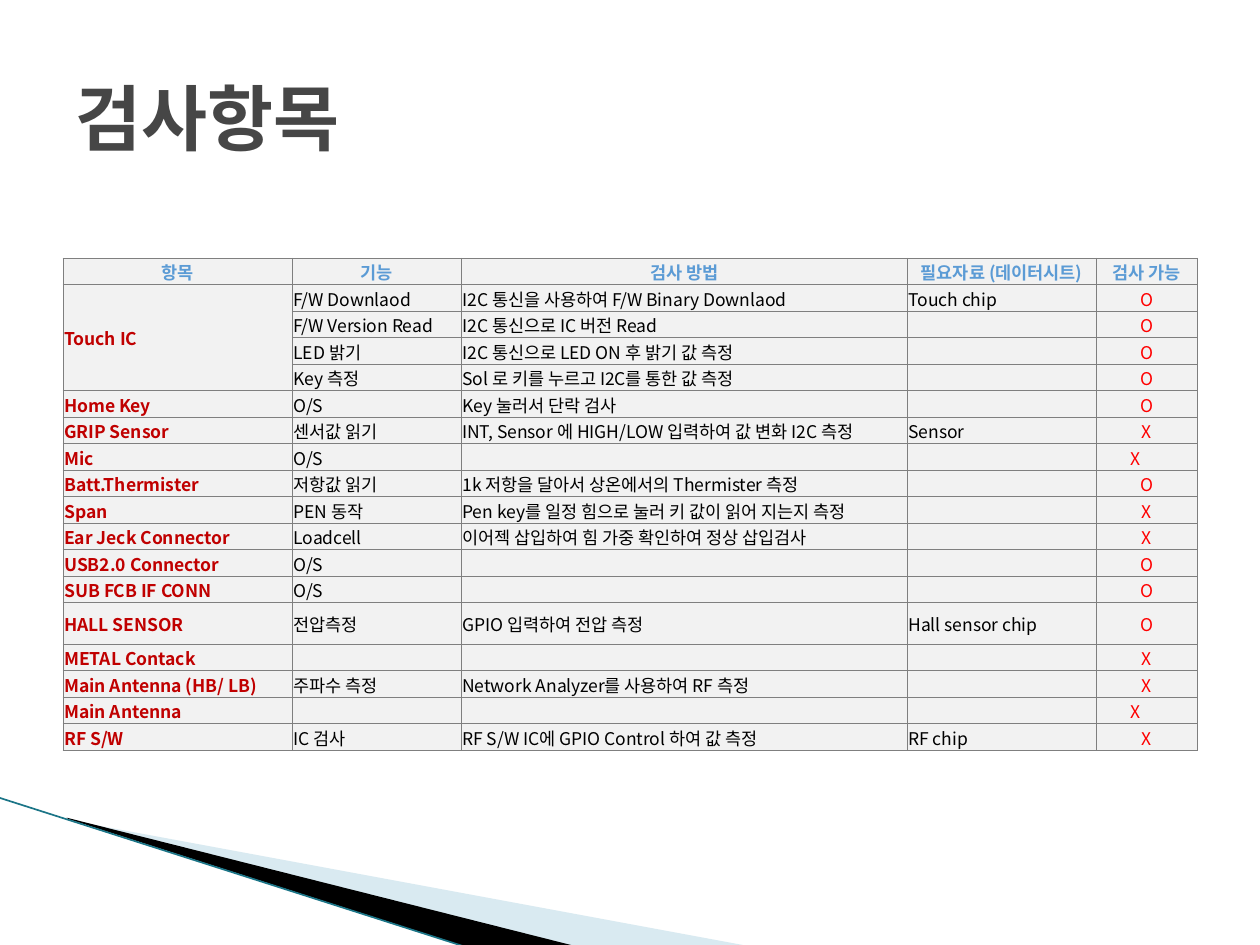
from dataclasses import dataclass

from lxml import etree
from pptx import Presentation
from pptx.dml.color import RGBColor
from pptx.enum.text import MSO_ANCHOR, PP_ALIGN
from pptx.enum.shapes import MSO_CONNECTOR
from pptx.oxml.ns import qn
from pptx.util import Inches, Pt

LEFT, CENTER = PP_ALIGN.LEFT, PP_ALIGN.CENTER
MIDDLE = MSO_ANCHOR.MIDDLE
STRAIGHT = MSO_CONNECTOR.STRAIGHT


@dataclass(frozen=True)
class Theme:
    title: str = "464646"
    header: str = "5B9BD5"
    item: str = "C00000"
    body: str = "000000"
    mark: str = "FF0000"
    cell: str = "F2F2F2"
    border: str = "7F7F7F"
    pale_wedge: str = "A0CBDC"
    dark_wedge: str = "000000"
    edge: str = "1B7587"
    title_size: int = 41
    table_size: int = 10
    latin: str = "Courier New"
    korean: str = "Noto Sans CJK KR"


THEME = Theme()

COLUMN_WIDTHS = [1.82, 1.34, 3.54, 1.5, 0.8]
ROW_HEIGHT, TALL_ROW_HEIGHT = 0.21, 0.33
TALL_ROW = 13
TOUCH_ROWS = (1, 4)
SHIFTED_MARK_ROWS = (7, 16)

HEADERS = ["항목", "기능", "검사 방법", "필요자료 (데이터시트)", "검사 가능"]
INSPECTIONS = [
    ["Touch IC", "F/W Downlaod", "I2C 통신을 사용하여 F/W Binary Downlaod", "Touch chip", "O"],
    ["", "F/W Version Read", "I2C 통신으로 IC 버전 Read", "", "O"],
    ["", "LED 밝기", "I2C 통신으로 LED ON 후 밝기 값 측정", "", "O"],
    ["", "Key 측정", "Sol 로 키를 누르고 I2C를 통한 값 측정", "", "O"],
    ["Home Key", "O/S", "Key 눌러서 단락 검사", "", "O"],
    ["GRIP Sensor", "센서값 읽기", "INT, Sensor 에 HIGH/LOW 입력하여 값 변화 I2C 측정", "Sensor", "X"],
    ["Mic", "O/S", "", "", "X"],
    ["Batt.Thermister", "저항값 읽기", "1k 저항을 달아서 상온에서의 Thermister 측정", "", "O"],
    ["Span", "PEN 동작", "Pen key를 일정 힘으로 눌러 키 값이 읽어 지는지 측정", "", "X"],
    ["Ear Jeck Connector", "Loadcell", "이어젝 삽입하여 힘 가중 확인하여 정상 삽입검사", "", "X"],
    ["USB2.0 Connector", "O/S", "", "", "O"],
    ["SUB FCB IF CONN", "O/S", "", "", "O"],
    ["HALL SENSOR", "전압측정", "GPIO 입력하여 전압 측정", "Hall sensor chip", "O"],
    ["METAL Contack", "", "", "", "X"],
    ["Main Antenna (HB/ LB)", "주파수 측정", "Network Analyzer를 사용하여 RF 측정", "", "X"],
    ["Main Antenna", "", "", "", "X"],
    ["RF S/W", "IC 검사", "RF S/W IC에 GPIO Control 하여 값 측정", "RF chip", "X"],
]


def rgb(value):
    return RGBColor.from_string(value)


def add_span(para, text, color, size, bold, latin=THEME.korean):
    span = para.add_run()
    span.text = text
    formats = {"size": Pt(size), "bold": bold, "name": latin}
    for name, value in formats.items():
        setattr(span.font, name, value)
    span.font.color.rgb = rgb(color)
    # East Asian face follows the Latin one
    face = etree.SubElement(span.font._element, qn("a:ea"))
    face.set("typeface", THEME.korean)


def add_wedge(page, points, color, alpha=None):
    corners = [(Inches(x), Inches(y)) for x, y in points]
    builder = page.shapes.build_freeform(*corners[0], scale=1.0)
    builder.add_line_segments(corners[1:], close=True)
    wedge = builder.convert_to_shape()
    wedge.shadow.inherit = False
    wedge.fill.solid()
    wedge.fill.fore_color.rgb = rgb(color)
    wedge.line.fill.background()
    if alpha is not None:
        tint = wedge._element.spPr.find(f"{qn('a:solidFill')}/{qn('a:srgbClr')}")
        etree.SubElement(tint, qn("a:alpha")).set("val", str(alpha * 1000))


def add_edge(page, start, end):
    edge = page.shapes.add_connector(STRAIGHT, *map(Inches, start + end))
    edge.line.color.rgb = rgb(THEME.edge)
    edge.line.width = Pt(0.95)
    etree.SubElement(edge._element.spPr, qn("a:effectLst"))


def set_borders(cell):
    properties = cell._tc.get_or_add_tcPr()
    for position, side in enumerate(("lnL", "lnR", "lnT", "lnB")):
        line = etree.Element(qn(f"a:{side}"), w=str(Pt(0.5)))
        fill = etree.SubElement(line, qn("a:solidFill"))
        etree.SubElement(fill, qn("a:srgbClr"), val=THEME.border)
        properties.insert(position, line)


def format_cell(cell, text, color, bold, align):
    formats = {
        "margin_left": Inches(0.01),
        "margin_right": Inches(0.01),
        "margin_top": Inches(0.01),
        "margin_bottom": 0,
        "vertical_anchor": MIDDLE,
    }
    for name, value in formats.items():
        setattr(cell, name, value)
    cell.fill.solid()
    cell.fill.fore_color.rgb = rgb(THEME.cell)
    set_borders(cell)
    para = cell.text_frame.paragraphs[0]
    para.alignment = align
    if text:
        add_span(para, text, color, THEME.table_size, bold)
    else:
        # Keeps an empty cell from stretching its row
        etree.SubElement(para._p, qn("a:endParaRPr"), sz=str(THEME.table_size * 100))


def add_inspection_table(page):
    rows = [HEADERS] + INSPECTIONS
    heights = [TALL_ROW_HEIGHT if i == TALL_ROW else ROW_HEIGHT for i in range(len(rows))]
    frame = page.shapes.add_table(
        len(rows), len(HEADERS), Inches(0.5), Inches(2.05),
        Inches(sum(COLUMN_WIDTHS)), Inches(sum(heights)))
    table = frame.table
    table.first_row = table.horz_banding = False
    for column, width in zip(table.columns, COLUMN_WIDTHS):
        column.width = Inches(width)
    for row, height in zip(table.rows, heights):
        row.height = Inches(height)

    # Colour, weight and alignment by column
    body = (THEME.body, False, LEFT)
    column_styles = [(THEME.item, True, LEFT), body, body, body, (THEME.mark, False, CENTER)]
    header_styles = [(THEME.header, True, CENTER)] * len(HEADERS)
    for i, texts in enumerate(rows):
        styles = column_styles if i else header_styles
        for j, (text, style) in enumerate(zip(texts, styles)):
            format_cell(table.cell(i, j), text, *style)

    first, last = TOUCH_ROWS
    table.cell(first, 0).merge(table.cell(last, 0))
    for i in SHIFTED_MARK_ROWS:
        table.cell(i, len(HEADERS) - 1).margin_right = Inches(0.19)


def set_title(page, text):
    title = page.shapes.title
    geometry = {"left": 0.5, "top": 0.3, "width": 9, "height": 1.25}
    for name, value in geometry.items():
        setattr(title, name, Inches(value))
    title.text_frame.vertical_anchor = MIDDLE
    title.text_frame.word_wrap = True
    para = title.text_frame.paragraphs[0]
    para.alignment = LEFT
    add_span(para, text, THEME.title, THEME.title_size, True, THEME.latin)
    # Title lies in front of the other parts
    page.shapes._spTree.append(title._element)


def main():
    deck = Presentation()
    deck.slide_width, deck.slide_height = Inches(10), Inches(7.5)
    page = deck.slides.add_slide(deck.slide_layouts[5])

    # Corner decoration
    add_wedge(page, [(0.55, 6.51), (5.95, 7.51), (4.56, 7.51), (0.55, 6.5)],
              THEME.pale_wedge, alpha=40)
    add_wedge(page, [(0.53, 6.49), (4.57, 7.51), (3.72, 7.52), (0.54, 6.5)],
              THEME.dark_wedge)
    add_edge(page, (-0.01, 6.33), (3.71, 7.52))

    # Content
    add_inspection_table(page)
    set_title(page, "검사항목")
    deck.save("out.pptx")


if __name__ == "__main__":
    main()
